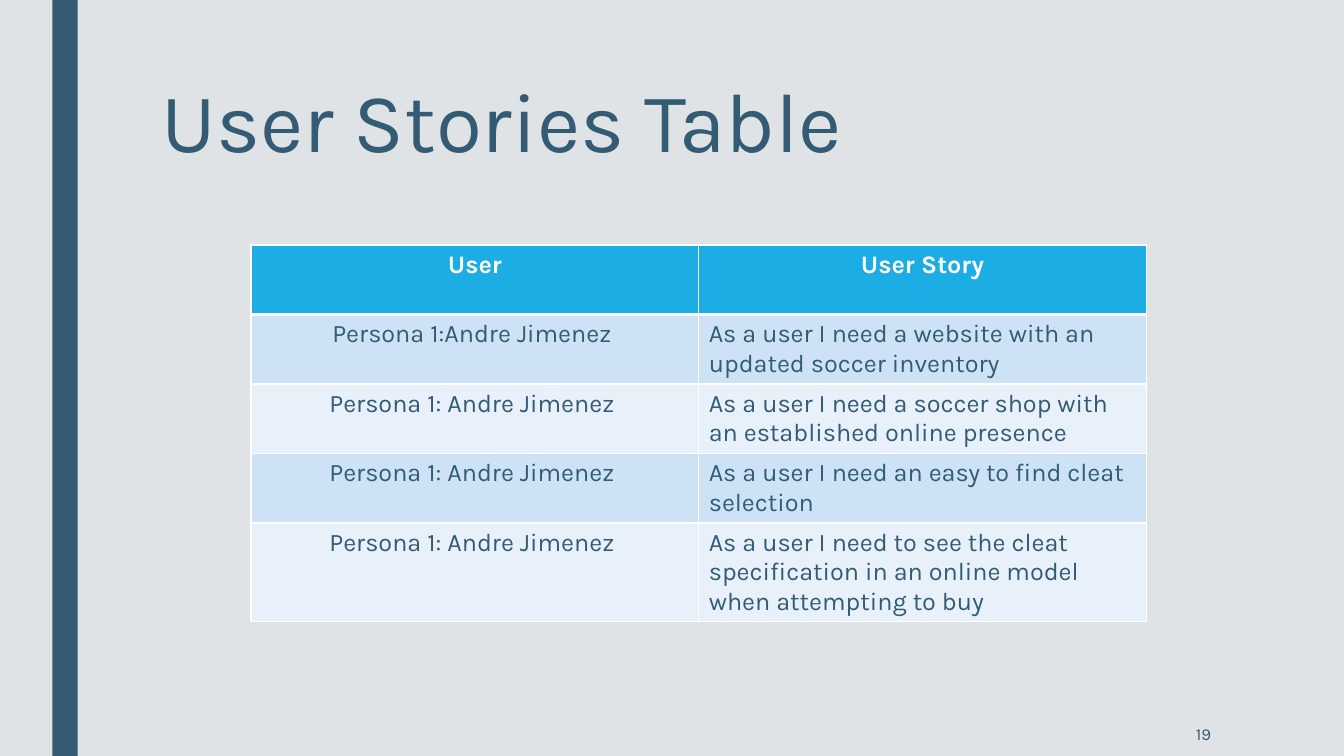
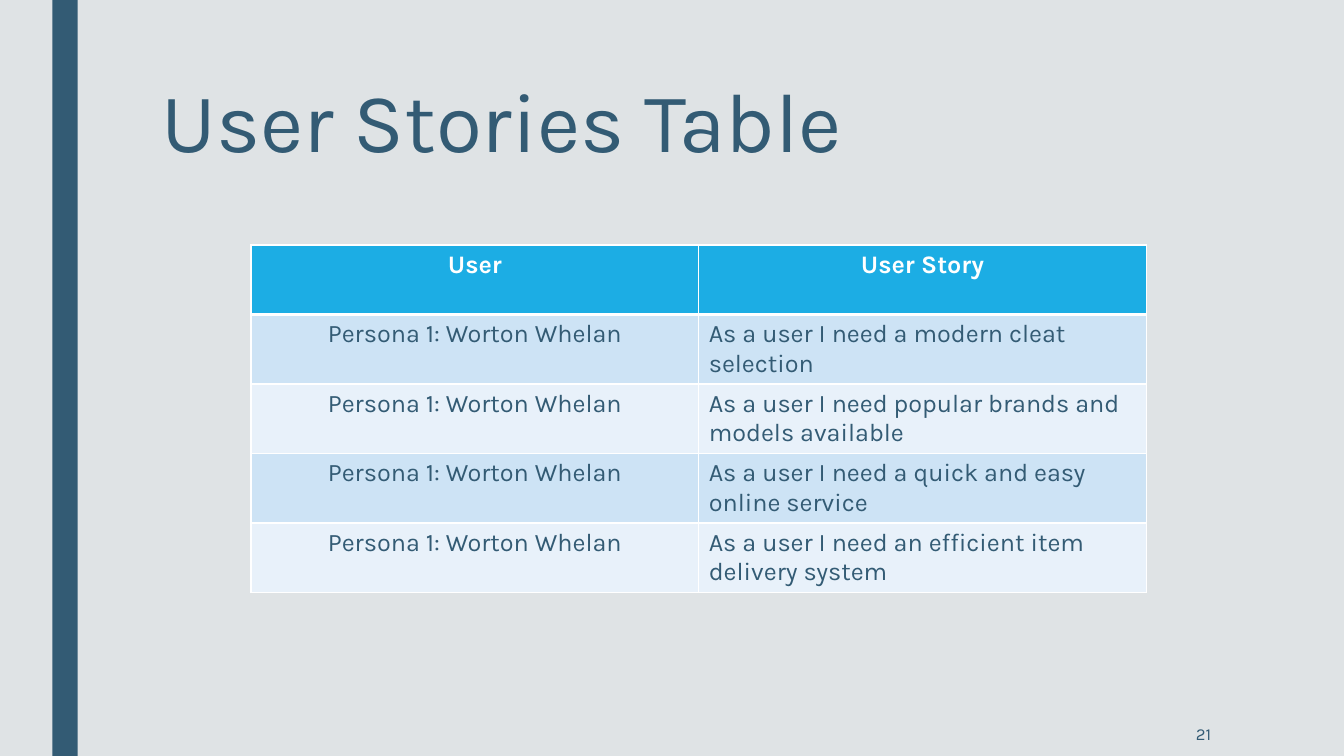
"""Build two slides of user stories, one table per persona."""
from lxml import etree
from pptx import Presentation
from pptx.dml.color import RGBColor
from pptx.enum.shapes import MSO_SHAPE
from pptx.enum.text import MSO_ANCHOR, MSO_AUTO_SIZE, PP_ALIGN
from pptx.oxml.ns import qn
from pptx.util import Inches, Pt

RECT = MSO_SHAPE.RECTANGLE
TOP, MIDDLE = MSO_ANCHOR.TOP, MSO_ANCHOR.MIDDLE
LEFT, CENTER, RIGHT = PP_ALIGN.LEFT, PP_ALIGN.CENTER, PP_ALIGN.RIGHT
NO_FIT = MSO_AUTO_SIZE.NONE

INK = RGBColor(0x33, 0x5B, 0x74)
PAPER = RGBColor(0xDF, 0xE3, 0xE5)
HEAD = RGBColor(0x1C, 0xAD, 0xE4)
BANDS = [RGBColor(0xE8, 0xF1, 0xFA), RGBColor(0xCD, 0xE3, 0xF5)]
WHITE = RGBColor(0xFF, 0xFF, 0xFF)
FONT = "Karla"
COL, ROW = Inches(4.44), Inches(0.69)

PAGES = [
    ("19", [
        ("Persona 1:Andre Jimenez ", "As a user I need a website with an updated soccer inventory"),
        ("Persona 1: Andre Jimenez ", "As a user I need a soccer shop with an established online presence"),
        ("Persona 1: Andre Jimenez ", "As a user I need an easy to find cleat selection"),
        ("Persona 1: Andre Jimenez ", "As a user I need to see the cleat specification in an online model "
                                      "when attempting to buy"),
    ]),
    ("21", [
        ("Persona 1: Worton Whelan", "As a user I need a modern cleat selection"),
        ("Persona 1: Worton Whelan", "As a user I need popular brands and models available"),
        ("Persona 1: Worton Whelan", "As a user I need a quick and easy online service"),
        ("Persona 1: Worton Whelan", "As a user I need an efficient item delivery system"),
    ]),
]


def write(frame, text, size, align=LEFT, color=INK, bold=False):
    frame.text = text
    para = frame.paragraphs[0]
    para.alignment = align
    para.font.name, para.font.size = FONT, Pt(size)
    para.font.color.rgb, para.font.bold = color, bold
    return para


def edge(cell, side, width):
    props = cell._tc.get_or_add_tcPr()
    line = etree.SubElement(props, qn("a:ln" + side), w=str(Pt(width)))
    fill = etree.SubElement(line, qn("a:solidFill"))
    etree.SubElement(fill, qn("a:srgbClr"), val=str(WHITE))


prs = Presentation()
prs.slide_width, prs.slide_height = Inches(13.33), Inches(7.5)
back = prs.slide_master.background.fill
back.solid()
back.fore_color.rgb = PAPER
layout = prs.slide_layouts[5]
title = layout.placeholders[0]
title.left, title.top = Inches(1.5), Inches(0.75)
title.width, title.height = Inches(10.5), Inches(1.62)

for number, stories in PAGES:
    slide = prs.slides.add_slide(layout)
    bar = slide.shapes.add_shape(RECT, Inches(0.52), 0, Inches(0.25), prs.slide_height)
    bar.shadow.inherit = False
    bar.fill.solid()
    bar.fill.fore_color.rgb = INK
    bar.line.fill.background()

    frame = slide.shapes.title.text_frame
    write(frame, "User Stories Table", 60).line_spacing = 0.89
    frame.vertical_anchor, frame.auto_size = TOP, NO_FIT

    rows = [("User", "User Story")] + stories
    grid = slide.shapes.add_table(len(rows), 2, Inches(2.49), Inches(2.43), 2 * COL, len(rows) * ROW).table
    for r, texts in enumerate(rows):
        for c, text in enumerate(texts):
            cell = grid.cell(r, c)
            top = r == 0
            align = CENTER if top or c == 0 else LEFT
            write(cell.text_frame, text, 18, align, WHITE if top else INK, top)
            for side in "LRTB":
                thick = (r, side) in ((0, "B"), (1, "T"))
                edge(cell, side, 3 if thick else 1)
            cell.fill.solid()
            cell.fill.fore_color.rgb = HEAD if top else BANDS[r % 2]

    page = slide.shapes.add_textbox(Inches(10.36), Inches(7.06), Inches(1.75), Inches(0.44))
    page.text_frame.word_wrap = True
    page.text_frame.vertical_anchor = MIDDLE
    write(page.text_frame, number, 12, RIGHT)

prs.save("out.pptx")
